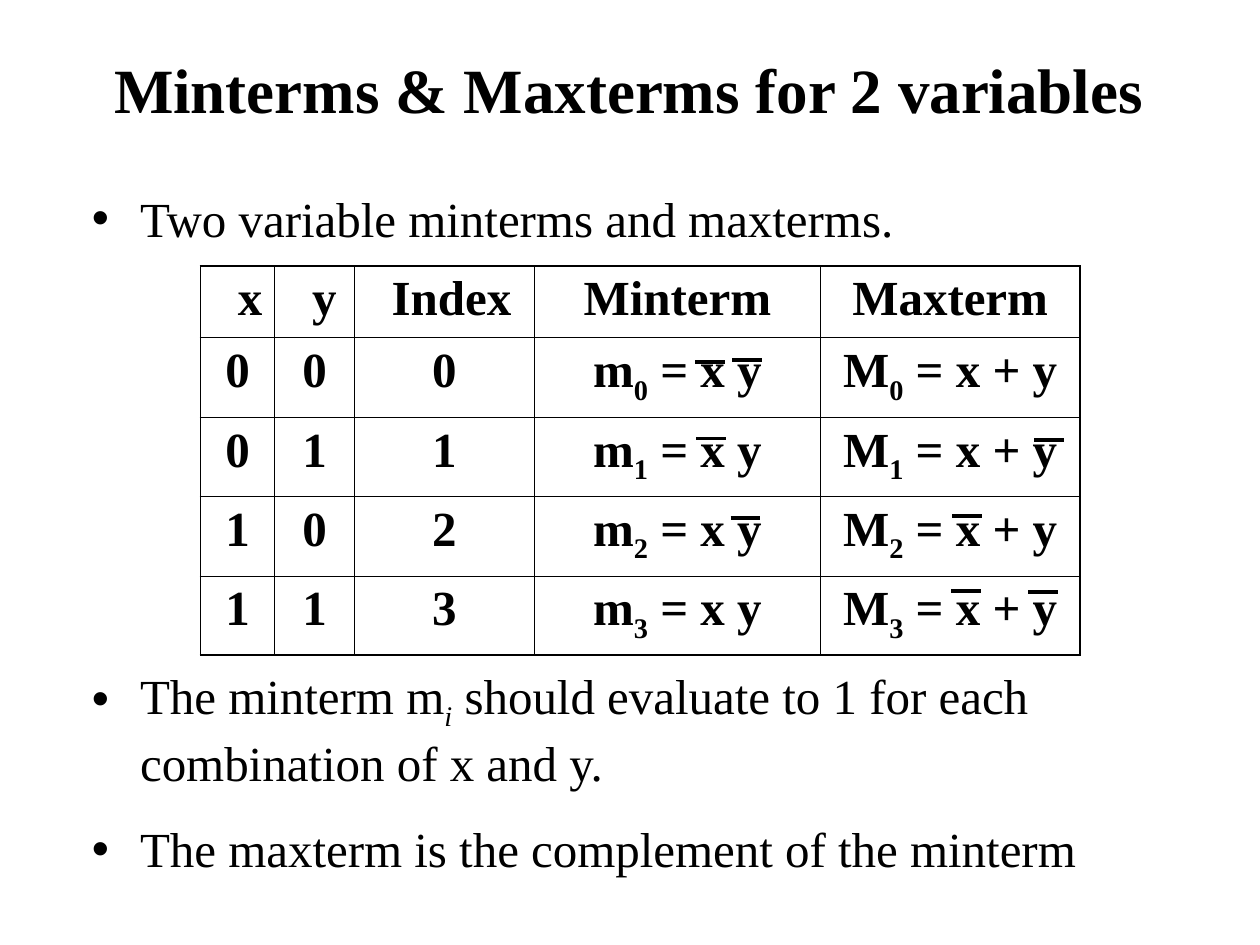
from lxml import etree
from pptx import Presentation
from pptx.dml.color import RGBColor
from pptx.enum.shapes import MSO_CONNECTOR
from pptx.enum.text import MSO_ANCHOR, MSO_AUTO_SIZE, PP_ALIGN
from pptx.oxml.ns import qn
from pptx.util import Cm, Pt

CENTER, LEFT = PP_ALIGN.CENTER, PP_ALIGN.LEFT
TOP, MIDDLE = MSO_ANCHOR.TOP, MSO_ANCHOR.MIDDLE
NO_AUTOFIT = MSO_AUTO_SIZE.NONE
STRAIGHT = MSO_CONNECTOR.STRAIGHT

COLORS = {"ink": "000000", "paper": "FFFFFF"}
BODY_FONT = {"name": "Times New Roman", "size": Pt(28), "bold": False}
TABLE_FONT = {**BODY_FONT, "bold": True}
TITLE_FONT = {**TABLE_FONT, "size": Pt(36)}
SUBSCRIPT = "-25000"
INDENT = Cm(0.97)

TITLE_BOX = (1.88, 0.53, 21.59, 2.49)
BODY_BOX = (1.6, 3.56, 21.97, 14.27)
TABLE_BOX = (4.04, 5.36, 17.73, 7.85)

BULLETS = [
    (0, ["Two variable minterms and maxterms."]),
    (239, ["The minterm m", "i", " should evaluate to 1 for each combination of x and y."]),
    (16, ["The maxterm is the complement of the minterm"]),
]
COLUMN_WIDTHS = [1.5, 1.6, 3.63, 5.77, 5.23]
ROW_HEIGHTS = [1.45] + [1.6] * 4
HEADERS = ["x", "y", "Index", "Minterm", "Maxterm"]
OVERLINE_LENGTH = 0.6
OVERLINES = [
    (9.98, 1.93), (10.72, 1.9), (10, 3.48), (10.69, 5.08),
    (15.14, 6.55), (16.69, 6.58), (15.16, 5.05), (16.81, 3.51),
]


def set_attributes(target, values):
    for name, value in values.items():
        setattr(target, name, value)


def place(shape, box):
    set_attributes(shape, dict(zip(("left", "top", "width", "height"), map(Cm, box))))


def add_runs(paragraph, texts, font, italic_subscript=False):
    for position, text in enumerate(texts):
        run = paragraph.add_run()
        run.text = text
        set_attributes(run.font, font)
        run.font.color.rgb = RGBColor.from_string(COLORS["ink"])
        if position == 1:
            run.font.italic = italic_subscript
            run._r.get_or_add_rPr().set("baseline", SUBSCRIPT)


def fill_title(title, box):
    place(title, box)
    frame = title.text_frame
    set_attributes(frame, {"word_wrap": True, "auto_size": NO_AUTOFIT, "vertical_anchor": MIDDLE})
    paragraph = frame.paragraphs[0]
    paragraph.alignment = CENTER
    add_runs(paragraph, ["Minterms & Maxterms for 2 variables"], TITLE_FONT)


def fill_bullets(body, box):
    place(body, box)
    frame = body.text_frame
    set_attributes(frame, {
        "word_wrap": True, "auto_size": NO_AUTOFIT,
        "vertical_anchor": TOP, "margin_top": Cm(0.23),
    })
    for index, (space, texts) in enumerate(BULLETS):
        paragraph = frame.add_paragraph() if index else frame.paragraphs[0]
        set_attributes(paragraph, {"alignment": LEFT, "space_before": Pt(space)})
        properties = paragraph._p.get_or_add_pPr()
        properties.set("marL", str(INDENT))
        properties.set("indent", str(-INDENT))
        etree.SubElement(properties, qn("a:buChar"), char="•")
        add_runs(paragraph, texts, BODY_FONT, italic_subscript=True)


def set_borders(cell, outer_sides):
    properties = cell._tc.get_or_add_tcPr()
    for side in "LRTB":
        width = Pt(1.08) if side in outer_sides else Pt(0.45)
        line = etree.SubElement(properties, qn(f"a:ln{side}"), w=str(width))
        fill = etree.SubElement(line, qn("a:solidFill"))
        etree.SubElement(fill, qn("a:srgbClr"), val=COLORS["ink"])


def table_rows():
    yield [[header] for header in HEADERS]
    for index in range(4):
        x, y = divmod(index, 2)
        yield [[str(x)], [str(y)], [str(index)],
               ["m", str(index), " = x y"], ["M", str(index), " = x + y"]]


def add_term_table(slide, box):
    rows, columns = len(ROW_HEIGHTS), len(COLUMN_WIDTHS)
    table = slide.shapes.add_table(rows, columns, *map(Cm, box)).table
    set_attributes(table, {"first_row": False, "horz_banding": False})
    for column, width in zip(table.columns, COLUMN_WIDTHS):
        column.width = Cm(width)
    for row, height in zip(table.rows, ROW_HEIGHTS):
        row.height = Cm(height)
    for row_index, texts in enumerate(table_rows()):
        for column_index, parts in enumerate(texts):
            cell = table.cell(row_index, column_index)
            edges = {"L": column_index == 0, "R": column_index == columns - 1,
                     "T": row_index == 0, "B": row_index == rows - 1}
            set_borders(cell, [side for side, outer in edges.items() if outer])
            cell.fill.background()
            paragraph = cell.text_frame.paragraphs[0]
            indented = row_index == 0 and column_index < 3
            paragraph.alignment = LEFT if indented else CENTER
            if indented:
                paragraph._p.get_or_add_pPr().set("marL", str(Cm(0.5)))
            add_runs(paragraph, parts, TABLE_FONT)


def add_overlines(slide, box):
    for x, y in OVERLINES:
        left, top = box[0] + x, box[1] + y
        overline = slide.shapes.add_connector(
            STRAIGHT, Cm(left), Cm(top), Cm(left + OVERLINE_LENGTH), Cm(top))
        overline.line.width = Pt(2.25)
        overline.line.color.rgb = RGBColor.from_string(COLORS["ink"])
        etree.SubElement(overline._element.spPr, qn("a:effectLst"))


def main():
    presentation = Presentation()
    set_attributes(presentation, {"slide_width": Cm(25.4), "slide_height": Cm(19.05)})
    slide = presentation.slides.add_slide(presentation.slide_layouts[1])
    background = slide.background.fill
    background.solid()
    background.fore_color.rgb = RGBColor.from_string(COLORS["paper"])
    fill_title(slide.shapes.title, TITLE_BOX)
    fill_bullets(slide.placeholders[1], BODY_BOX)
    add_term_table(slide, TABLE_BOX)
    add_overlines(slide, TABLE_BOX)
    presentation.save("out.pptx")


if __name__ == "__main__":
    main()
